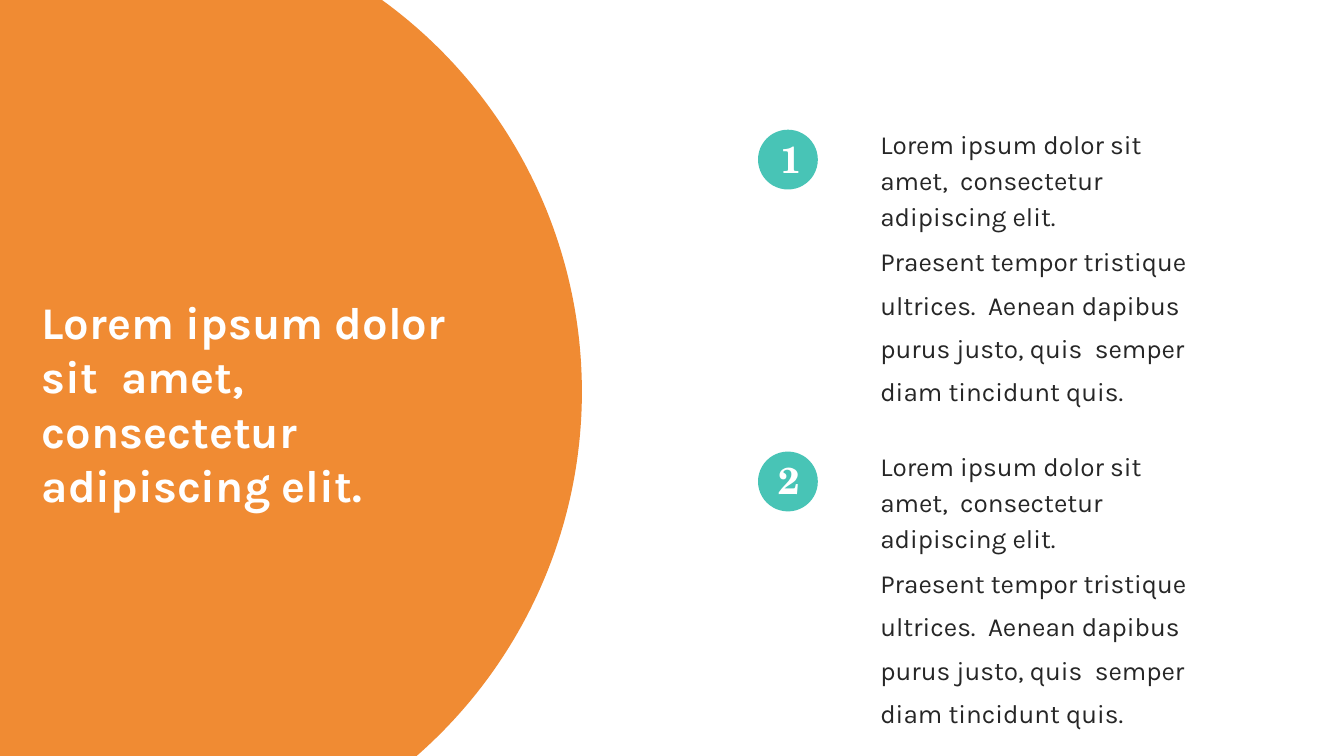
import math

from pptx import Presentation
from pptx.dml.color import RGBColor
from pptx.enum.shapes import MSO_SHAPE
from pptx.enum.text import MSO_ANCHOR, MSO_AUTO_SIZE, PP_ALIGN
from pptx.util import Inches, Pt

OVAL = MSO_SHAPE.OVAL
TOP = MSO_ANCHOR.TOP
LEFT = PP_ALIGN.LEFT
GROW = MSO_AUTO_SIZE.SHAPE_TO_FIT_TEXT

# Content
TITLE = "Lorem ipsum dolor sit  amet, consectetur  adipiscing elit."
LEAD = "Lorem ipsum dolor sit amet,  consectetur adipiscing elit."
DETAIL = ("Praesent tempor tristique ultrices.  Aenean dapibus purus justo, "
          "quis  semper diam tincidunt quis.")
# number, left and width of its text, lead, detail
ITEMS = [("1", 11.61, 0.23, LEAD, DETAIL),
         ("2", 11.57, 0.31, LEAD, DETAIL)]

THEME = {
    "orange": RGBColor(0xF0, 0x8B, 0x33),
    "teal": RGBColor(0x48, 0xC4, 0xB6),
    "white": RGBColor(0xFF, 0xFF, 0xFF),
    "ink": RGBColor(0x26, 0x26, 0x26),
    "sans": "Karla",
    "serif": "TeX Gyre Schola",
    "title": Pt(48.5),
    "number": Pt(40),
    "body": Pt(28),
}

# Layout, in inches
SLIDE_W, SLIDE_H = 20, 11.25
DISC_X, DISC_Y, DISC_R = 1.46, 5.83, 7.2
DISC_STEPS = 120
ITEM_TOP, ITEM_PITCH = 1.93, 4.79
BADGE_LEFT, BADGE_SIZE = 11.28, 0.89
BODY_LEFT, BODY_W, BODY_H = 13.09, 5.53, 2.7


def paint(sp, color):
    sp.fill.solid()
    sp.fill.fore_color.rgb = color
    sp.line.fill.background()
    sp.shadow.inherit = False


def set_text(sp, paragraphs, font, size, color, bold=False, right=0):
    """Each paragraph is (text, line spacing, points before)."""
    tf = sp.text_frame
    tf.word_wrap = True
    tf.auto_size = GROW
    tf.vertical_anchor = TOP
    tf.margin_left = tf.margin_top = Inches(0.01)
    tf.margin_right, tf.margin_bottom = Inches(right), 0
    for i, (text, spacing, before) in enumerate(paragraphs):
        p = tf.paragraphs[0] if i == 0 else tf.add_paragraph()
        p.text = text
        p.alignment = LEFT
        p.line_spacing = spacing
        p.space_before = Pt(before)
        f = p.runs[0].font
        f.name, f.size, f.bold = font, size, bold
        f.color.rgb = color


def add_text(s, left, top, width, height, *args, **kwargs):
    sp = s.shapes.add_textbox(Inches(left), Inches(top), Inches(width), Inches(height))
    set_text(sp, *args, **kwargs)


def add_disc(s):
    """Large disc cut off by the left, top and bottom slide edges."""
    start = math.asin(-DISC_Y / DISC_R)
    end = math.asin((SLIDE_H - DISC_Y) / DISC_R)
    angles = [start + (end - start) * i / DISC_STEPS for i in range(DISC_STEPS + 1)]
    arc = [(Inches(DISC_X + DISC_R * math.cos(a)), Inches(DISC_Y + DISC_R * math.sin(a)))
           for a in angles]
    builder = s.shapes.build_freeform(0, 0)
    builder.add_line_segments(arc + [(0, Inches(SLIDE_H))], close=True)
    paint(builder.convert_to_shape(), THEME["orange"])


def add_item(s, top, number, number_left, number_w, lead, detail):
    badge = s.shapes.add_shape(OVAL, Inches(BADGE_LEFT), Inches(top),
                               Inches(BADGE_SIZE), Inches(BADGE_SIZE))
    paint(badge, THEME["teal"])
    add_text(s, number_left, top + 0.08, number_w, 0.69, [(number, 1.0, 0)],
             THEME["serif"], THEME["number"], THEME["white"], bold=True)
    add_text(s, BODY_LEFT, top - 0.1, BODY_W, BODY_H,
             [(lead, 1.15, 0), (detail, 1.38, 2.1)],
             THEME["sans"], THEME["body"], THEME["ink"], right=0.75)


def main():
    prs = Presentation()
    prs.slide_width, prs.slide_height = Inches(SLIDE_W), Inches(SLIDE_H)
    s = prs.slides.add_slide(prs.slide_layouts[5])

    add_disc(s)

    # Title, brought in front of the disc
    title = s.shapes.title
    title.left, title.top = Inches(0.61), Inches(4.37)
    title.width, title.height = Inches(6.5), Inches(2.47)
    set_text(title, [(TITLE, 1.0, 0)], THEME["sans"], THEME["title"],
             THEME["white"], bold=True)
    s.shapes._spTree.append(title._element)

    # Numbered items
    for i, item in enumerate(ITEMS):
        add_item(s, ITEM_TOP + i * ITEM_PITCH, *item)

    prs.save("out.pptx")


if __name__ == "__main__":
    main()
